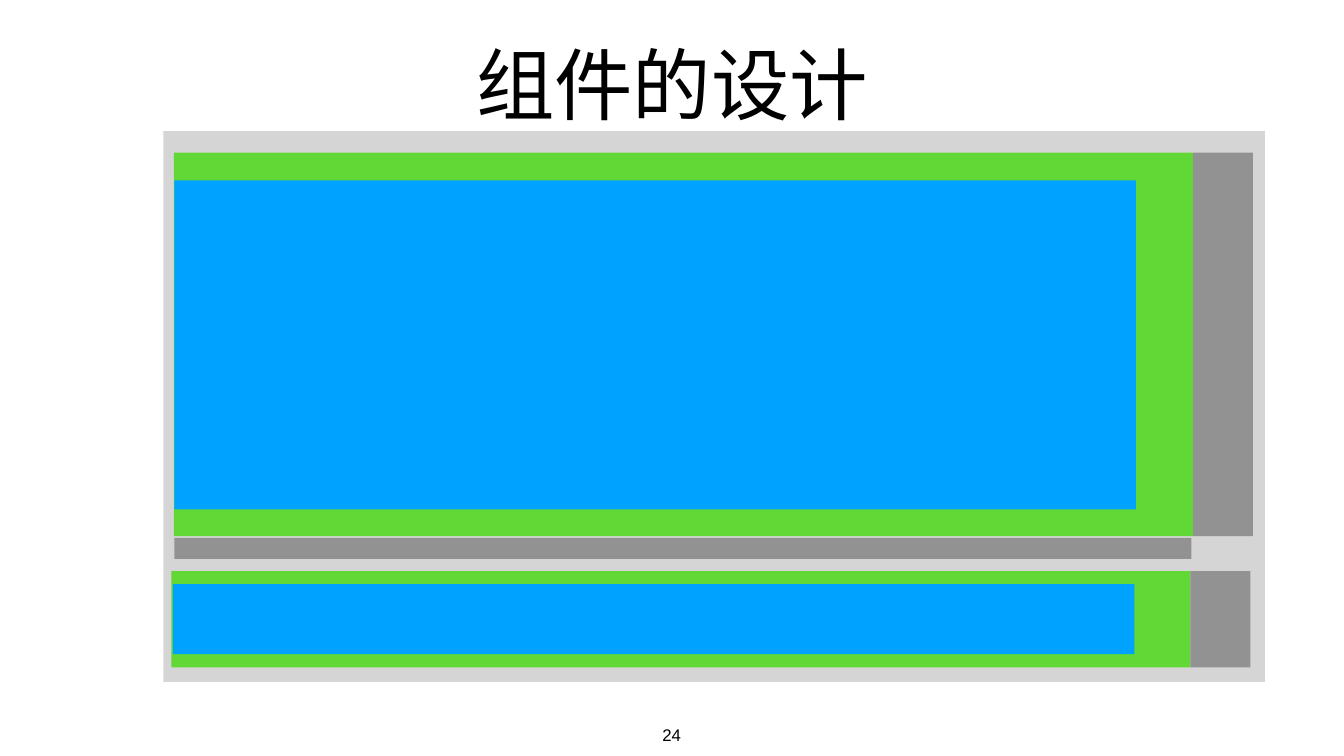
from pptx import Presentation
from pptx import util as u
from pptx.dml.color import RGBColor
from pptx.enum import shapes, text

FONT = "Arial"
BLACK = "000000"
FRAME_GREY = "D5D5D5"
BAR_GREY = "929292"
GREEN = "61D836"
BLUE = "00A2FF"

PANEL_WIDTH = 20.22
SIDE_BAR_WIDTH = 1.19
CONTENT_WIDTH = 19.08


def color(hex_string):
    return RGBColor.from_string(hex_string)


def place(shape, left, top, width, height):
    shape.left, shape.top = u.Inches(left), u.Inches(top)
    shape.width, shape.height = u.Inches(width), u.Inches(height)


def write_centered(shape, words, size, anchor, wrap):
    frame = shape.text_frame
    frame.word_wrap = wrap
    frame.vertical_anchor = anchor
    frame.margin_left = frame.margin_right = u.Inches(0.06)
    frame.margin_top = frame.margin_bottom = u.Inches(0.06)
    paragraph = frame.paragraphs[0]
    paragraph.alignment = text.PP_ALIGN.CENTER
    run = paragraph.add_run()
    run.text = words
    run.font.name = FONT
    run.font.size = u.Pt(size)
    run.font.color.rgb = color(BLACK)


def add_title(slide, words):
    title = slide.shapes.title
    place(title, 1.85, 0.39, 22.97, 2.5)
    title.text_frame.auto_size = text.MSO_AUTO_SIZE.NONE
    write_centered(title, words, 112, text.MSO_ANCHOR.MIDDLE, True)


def add_page_number(slide, number):
    box = slide.shapes.add_textbox(
        u.Inches(13.08), u.Inches(14.31), u.Inches(0.5), u.Inches(0.5))
    box.text_frame.auto_size = text.MSO_AUTO_SIZE.SHAPE_TO_FIT_TEXT
    write_centered(box, number, 24, text.MSO_ANCHOR.TOP, False)


def add_block(slide, left, top, width, height, fill):
    block = slide.shapes.add_shape(
        shapes.MSO_SHAPE.RECTANGLE,
        u.Inches(left), u.Inches(top), u.Inches(width), u.Inches(height))
    block.shadow.inherit = False
    block.fill.solid()
    block.fill.fore_color.rgb = color(fill)
    block.line.fill.background()


def add_panel(slide, left, top, height):
    """Add a green panel with a grey bar along its right edge."""
    add_block(slide, left, top, PANEL_WIDTH, height, GREEN)
    add_block(slide, left + PANEL_WIDTH, top, SIDE_BAR_WIDTH, height, BAR_GREY)


def main():
    presentation = Presentation()
    presentation.slide_width = u.Inches(26.67)
    presentation.slide_height = u.Inches(15)
    slide = presentation.slides.add_slide(presentation.slide_layouts[5])

    add_title(slide, "组件的设计")
    add_page_number(slide, "24")

    add_block(slide, 3.24, 2.6, 21.86, 10.93, FRAME_GREY)
    add_panel(slide, 3.45, 3.03, 7.61)
    add_panel(slide, 3.4, 11.33, 1.91)
    add_block(slide, 3.46, 10.67, 20.18, 0.42, BAR_GREY)
    add_block(slide, 3.46, 3.58, CONTENT_WIDTH, 6.53, BLUE)
    add_block(slide, 3.43, 11.59, CONTENT_WIDTH, 1.39, BLUE)

    presentation.save("out.pptx")


if __name__ == "__main__":
    main()
